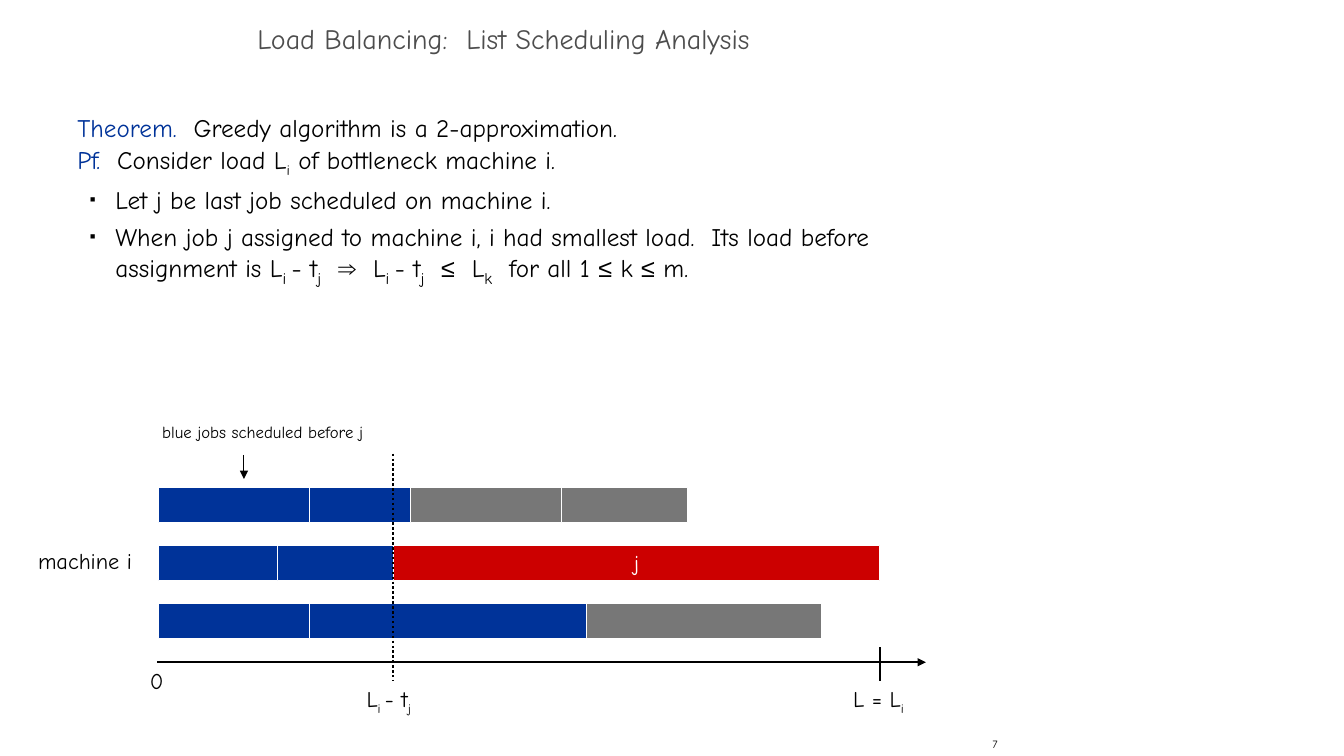
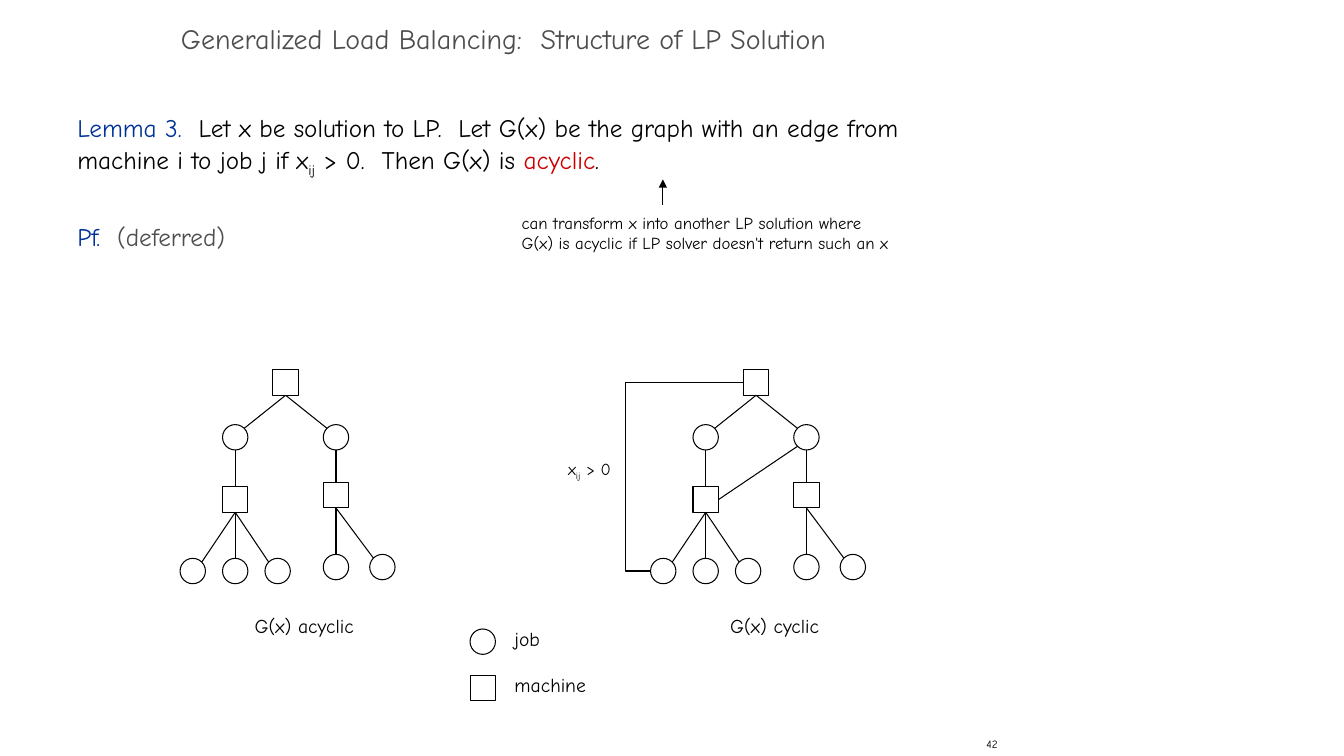
from itertools import accumulate
from lxml import etree
from pptx import Presentation
from pptx.dml.color import RGBColor
from pptx.enum.dml import MSO_LINE
from pptx.enum.shapes import MSO_CONNECTOR, MSO_SHAPE
from pptx.enum.text import MSO_ANCHOR, PP_ALIGN
from pptx.oxml.ns import qn
from pptx.util import Cm, Pt

COLORS = {"ink": "000000", "title": "4D4D4D", "blue": "003399",
          "red": "CC0000", "gray": "777777", "white": "FFFFFF"}
FONT, SYMBOL_FONT = "Comic Neue", "Arial"
NODE = 0.64  # diameter of a job, side of a machine


def rgb(name):
    return RGBColor.from_string(COLORS[name])


# ---- text ----
def add_runs(p, runs, size, color="ink"):
    """A run is a plain string or (text, style): a colour, sub, bigsub or symbol."""
    for run in [runs] if isinstance(runs, str) else runs:
        text, style = (run, "") if isinstance(run, str) else run
        r = p.add_run()
        r.text = text
        r.font.size = Pt(20 if style == "bigsub" else size)
        r.font.name = SYMBOL_FONT if style == "symbol" else FONT
        r.font.color.rgb = rgb(style if style in COLORS else color)
        if style in ("sub", "bigsub"):
            r._r.get_or_add_rPr().set("baseline", "-25000")


def add_text(slide, x, y, w, h, paragraphs, size, color="ink",
             align=PP_ALIGN.LEFT, anchor=MSO_ANCHOR.TOP):
    tf = slide.shapes.add_textbox(Cm(x), Cm(y), Cm(w), Cm(h)).text_frame
    tf.word_wrap = True
    tf.vertical_anchor = anchor
    for i, runs in enumerate(paragraphs):
        p = tf.paragraphs[0] if i == 0 else tf.add_paragraph()
        p.alignment = align
        add_runs(p, runs, size, color)
    return tf


def set_bullet(p):
    pPr = p._p.get_or_add_pPr()
    pPr.set("marL", str(Cm(0.96)))
    pPr.set("indent", str(-Cm(0.64)))
    color = etree.SubElement(pPr, qn("a:buClr"))
    etree.SubElement(color, qn("a:srgbClr")).set("val", COLORS["ink"])
    for tag, key, value in (("buSzPct", "val", "35000"),
                            ("buFont", "typeface", SYMBOL_FONT),
                            ("buChar", "char", "■")):
        etree.SubElement(pPr, qn("a:" + tag)).set(key, value)


def add_body(slide, w, paragraphs, bullets_from=None):
    tf = add_text(slide, 1.7, 2.54, w, 15.04, paragraphs, 18)
    for i, p in enumerate(tf.paragraphs):
        p.line_spacing = Pt(26)
        if bullets_from is not None and i >= bullets_from:
            set_bullet(p)
    return tf


# ---- shapes and lines ----
def add_box(slide, kind, x, y, w, h, fill=None, line="ink"):
    sp = slide.shapes.add_shape(kind, Cm(x), Cm(y), Cm(w), Cm(h))
    sp.shadow.inherit = False
    if fill:
        sp.fill.solid()
        sp.fill.fore_color.rgb = rgb(fill)
    else:
        sp.fill.background()
    sp.line.color.rgb = rgb(line)
    sp.line.width = Pt(0.75)
    return sp


def add_line(slide, x1, y1, x2, y2, width=0.75, arrow=False,
             kind=MSO_CONNECTOR.STRAIGHT):
    cxn = slide.shapes.add_connector(kind, Cm(x1), Cm(y1), Cm(x2), Cm(y2))
    cxn.line.color.rgb = rgb("ink")
    cxn.line.width = Pt(width)
    if arrow:
        etree.SubElement(cxn.line._get_or_add_ln(),
                         qn("a:tailEnd")).set("type", "triangle")
    etree.SubElement(cxn._element.spPr, qn("a:effectLst"))
    return cxn


def add_node(slide, kind, cx, cy):
    add_box(slide, kind, cx - NODE / 2, cy - NODE / 2, NODE, NODE)


# ---- frame shared by the slides ----
def new_slide(prs, title, number):
    slide = prs.slides.add_slide(prs.slide_layouts[6])
    tf = add_text(slide, 0, 0.43, 25.4, 1.27, [title], 20, "title",
                  PP_ALIGN.CENTER, MSO_ANCHOR.MIDDLE)
    tf.paragraphs[0].line_spacing = 0.7
    add_text(slide, 20.12, 18.42, 5.28, 0.64, [str(number)], 8,
             align=PP_ALIGN.RIGHT, anchor=MSO_ANCHOR.MIDDLE)
    return slide


# ---- schedule of jobs on three machines ----
def add_schedule(slide, x, y):
    bar, pitch, axis = 0.89, 1.46, y + 4.41
    rows = [
        [(3.81, "blue"), (2.54, "blue"), (3.81, "gray"), (3.18, "gray")],
        [(3, "blue"), (2.92, "blue"), (12.27, "red")],
        [(3.81, "blue"), (6.98, "blue"), (5.92, "gray")],
    ]
    for i, row in enumerate(rows):
        starts = accumulate((w for w, _ in row), initial=x)
        for left, (w, fill) in zip(starts, row):
            sp = add_box(slide, MSO_SHAPE.RECTANGLE, left, y + i * pitch,
                         w, bar, fill, "white")
            if fill == "red":
                p = sp.text_frame.paragraphs[0]
                p.alignment = PP_ALIGN.CENTER
                add_runs(p, "j", 16, "white")

    # Time axis with its marks
    start_j, end_j = x + 5.92, x + 18.19
    add_line(slide, x - 0.03, axis, x + 19.35, axis, 1.25, arrow=True)
    add_line(slide, end_j, axis - 0.38, end_j, axis + 0.46, 1.25)
    dotted = add_line(slide, start_j, y - 0.85, start_j, axis + 0.46, 1.75)
    dotted.line.dash_style = MSO_LINE.ROUND_DOT

    # Labels
    for left, top, runs in (
            (x - 0.46, axis, "0"),
            (start_j - 0.92, axis + 0.46,
             ["L", ("i ", "sub"), "- t", ("j", "sub")]),
            (end_j - 0.92, axis + 0.46, ["L = L", ("i", "sub")]),
            (x - 3.28, y + pitch - 0.07, "machine i")):
        add_text(slide, left, top, 3.2, 0.94, [runs], 16)
    add_text(slide, x - 0.15, y - 1.79, 6.5, 0.76,
             ["blue jobs scheduled before j"], 12)
    add_line(slide, x + 2.16, y - 0.82, x + 2.16, y - 0.21, arrow=True)


# ---- bipartite graph, placed by the centre of its root ----
def add_graph(slide, x, y, caption, cyclic=False):
    r, d = NODE / 2, NODE / 2 * 0.71
    side = 1.27
    machines = {  # centre of a machine: centres of the jobs below it
        (0, 0): [(-side, 1.38), (side, 1.38)],
        (-side, 2.95): [(-side + k * 1.07, 4.75) for k in (-1, 0, 1)],
        (side, 2.84): [(side, 4.65), (side + 1.17, 4.65)],
    }
    for (mx, my), jobs in machines.items():
        add_node(slide, MSO_SHAPE.RECTANGLE, x + mx, y + my)
        if my:
            add_line(slide, x + mx, y + 1.38 + r, x + mx, y + my - r)
        for jx, jy in jobs:
            add_node(slide, MSO_SHAPE.OVAL, x + jx, y + jy)
            toward = (mx > jx) - (mx < jx)
            add_line(slide, x + mx, y + my + r, x + jx + toward * d,
                     y + jy - (d if toward else r))
    add_text(slide, x + 0.47 - 2, y + 5.7, 4, 0.84, [caption], 14,
             align=PP_ALIGN.CENTER)
    if cyclic:
        add_line(slide, x + side - d, y + 1.38 + d, x - side + r, y + 2.95)
        # Edge from the first leaf around to the root
        left = -side - 1.07 - r
        elbow = add_line(slide, x + left, y + 4.75, x - r, y,
                         kind=MSO_CONNECTOR.ELBOW)
        geom = elbow._element.spPr.find(qn("a:prstGeom"))
        av = geom.find(qn("a:avLst"))
        if av is None:
            av = etree.SubElement(geom, qn("a:avLst"))
        gd = etree.SubElement(av, qn("a:gd"))
        gd.set("name", "adj1")
        gd.set("fmla", "val -27300")
        add_text(slide, x - 4.99, y + 1.79, 2, 0.84,
                 [["x", ("ij", "sub"), " > 0"]], 12)


def add_legend(slide, x, y):
    for i, (kind, label) in enumerate(((MSO_SHAPE.OVAL, "job"),
                                       (MSO_SHAPE.RECTANGLE, "machine"))):
        cy = y + i * 1.17
        add_node(slide, kind, x, cy)
        add_text(slide, x + 0.55, cy - 0.5, 3, 0.84, [label], 14)


# ---- slides ----
def schedule_slide(prs):
    slide = new_slide(prs, "Load Balancing:  List Scheduling Analysis", 7)
    sub_i, sub_j = ("i ", "bigsub"), ("j", "bigsub")
    leq = ("≤", "symbol")
    add_body(slide, 21.8, [
        [("Theorem.  ", "blue"), "Greedy algorithm is a 2-approximation."],
        [("Pf.  ", "blue"), "Consider load L", ("i", "sub"),
         " of bottleneck machine i."],
        "Let j be last job scheduled on machine i.",
        ["When job j assigned to machine i, i had smallest load.  "
         "Its load before assignment is L", sub_i, "- t", sub_j, "  ",
         ("⇒", "symbol"), "  L", sub_i, "- t", sub_j, "  ", leq, "  L",
         ("k", "bigsub"), "  for all 1 ", leq, " k ", leq, " m."],
    ], bullets_from=2)
    add_schedule(slide, 3.99, 12.28)


def graph_slide(prs):
    slide = new_slide(
        prs, "Generalized Load Balancing:  Structure of LP Solution", 42)
    tf = add_body(slide, 22.43, [
        [("Lemma 3.  ", "blue"),
         "Let x be solution to LP.  Let G(x) be the graph with an edge from "
         "machine i to job j if x", ("ij", "sub"), " > 0.  Then G(x) is ",
         ("acyclic", "red"), "."],
        [("Pf.  ", "blue"), ("(deferred)", "title")],
    ])
    tf.paragraphs[1].space_before = Pt(26)

    # Side note under "acyclic"
    add_text(slide, 12.9, 5.23, 10.5, 1.27,
             ["can transform x into another LP solution where",
              "G(x) is acyclic if LP solver doesn't return such an x"], 12)
    add_line(slide, 16.71, 5.16, 16.71, 4.52, arrow=True)

    add_graph(slide, 7.2, 9.64, "G(x) acyclic")
    add_graph(slide, 19.06, 9.64, "G(x) cyclic", cyclic=True)
    add_legend(slide, 12.17, 16.17)


def main():
    prs = Presentation()
    prs.slide_width, prs.slide_height = Cm(33.88), Cm(19.05)
    schedule_slide(prs)
    graph_slide(prs)
    prs.save("out.pptx")


if __name__ == "__main__":
    main()
